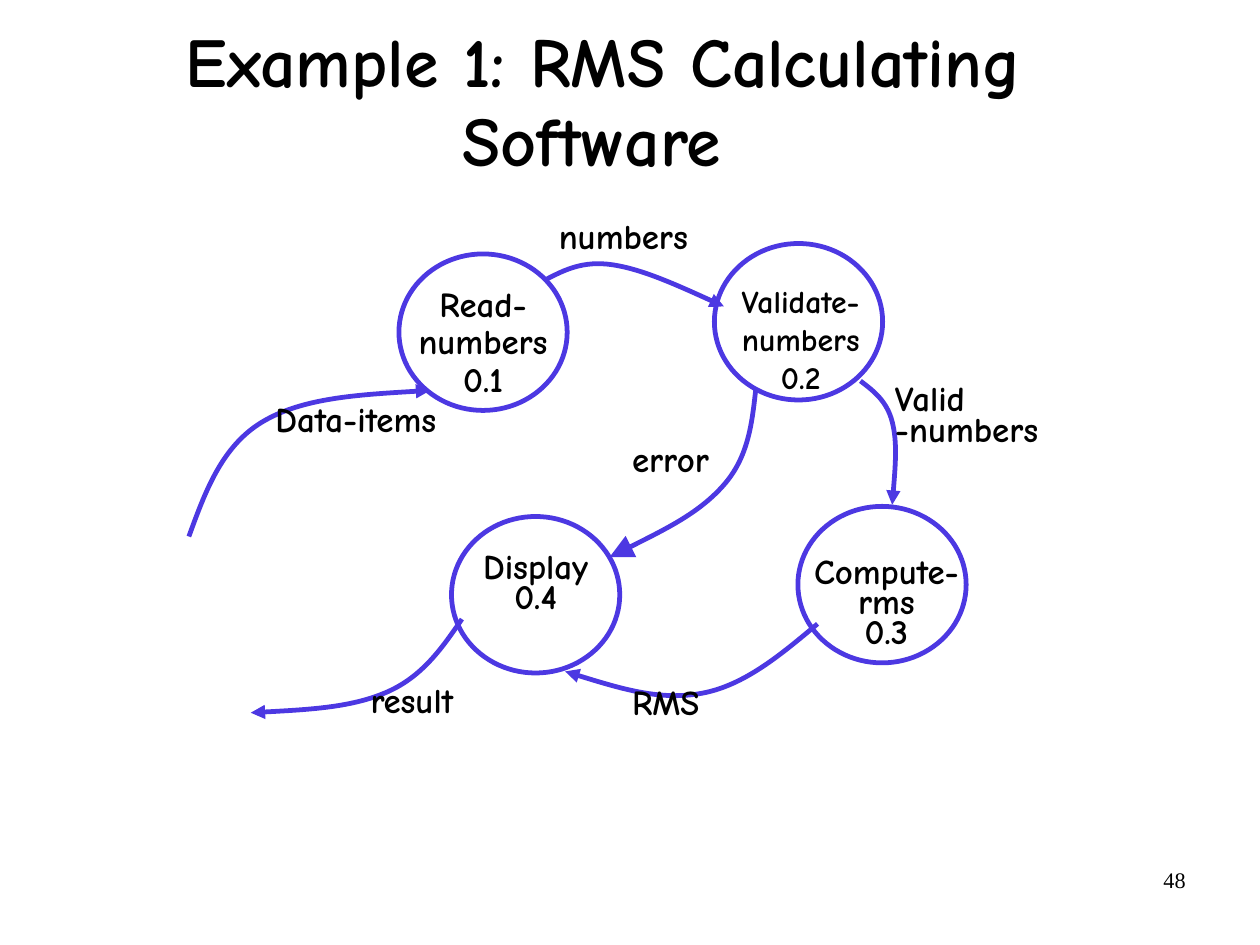
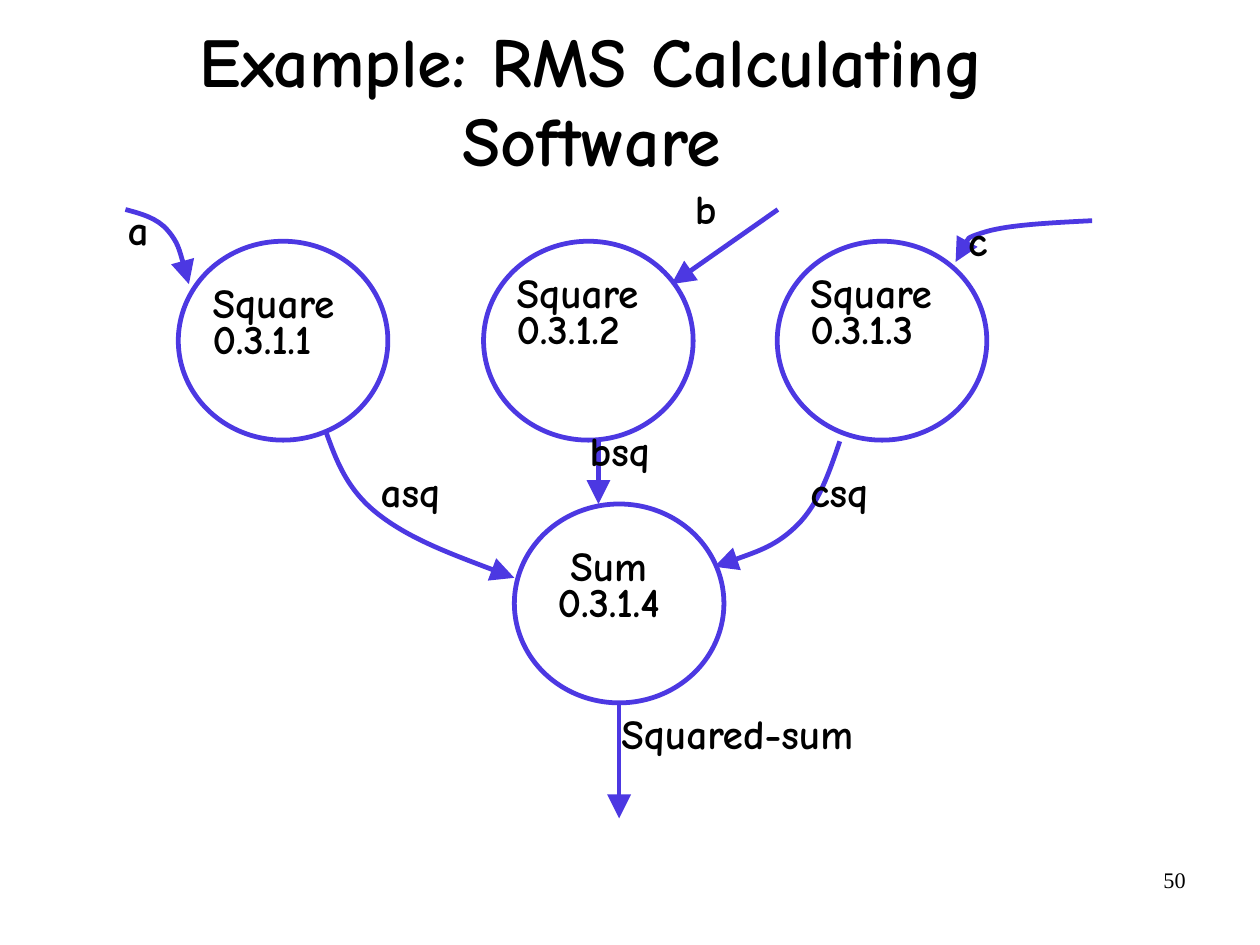
from lxml.etree import SubElement
from pptx import Presentation
from pptx.dml.color import RGBColor
from pptx.enum.shapes import MSO_CONNECTOR, MSO_SHAPE
from pptx.enum.text import MSO_ANCHOR, PP_ALIGN
from pptx.oxml.ns import qn
from pptx.util import Pt

BLACK = RGBColor(0x00, 0x00, 0x00)
VIOLET = RGBColor(0x4C, 0x38, 0xE2)
TITLE_FONT = "Comic Neue"
NUMBER_FONT = "Times New Roman"
LEFT, CENTER, RIGHT = PP_ALIGN.LEFT, PP_ALIGN.CENTER, PP_ALIGN.RIGHT
LABEL_SIZE = (106, 60)

# bubbles: corner; curves: start, bend, end, arrowhead; labels: text, corner, changes
DIAGRAMS = [
    {
        "title": " Example 1: RMS Calculating Software",
        "number": "48",
        "bubble_size": (106, 98.6),
        "bubbles": [(251.3, 160), (284.4, 325.4), (450, 153.4), (502.6, 319)],
        "curves": [
            ((119, 338), (150, 253), (271, 246), "med"),
            ((344, 176), (379, 158), (456, 193), "med"),
            ((542, 240), (567, 259), (562, 318), "med"),
            ((515, 393), (446, 451), (356, 423), "med"),
            ((291, 390), (254, 444), (158, 449), "med"),
            ((476, 246), (469, 309), (384, 351), "lg"),
        ],
        "lines": [],
        "text_style": {"size": 22, "before": 12.5, "spacing": 0.72},
        "labels": [
            ("Data-items", (172, 252.7), {}),
            ("result", (232, 430), {}),
            ("Read-numbers\n0.1", (251.3, 176.4), {"align": CENTER, "spacing": 0.9}),
            ("Validate-numbers\n0.2", (451.4, 173),
             {"align": CENTER, "spacing": 1.0, "size": 20}),
            ("Compute-rms\n0.3", (505.4, 348.5), {"align": CENTER}),
            ("Display\n0.4", (284.4, 345.6), {"align": CENTER}),
            ("RMS", (396.7, 431.3), {}),
            ("numbers", (350.6, 137.5), {}),
            ("Valid -numbers", (562.3, 240), {}),
            ("error", (396.7, 278), {}),
        ],
    },
    {
        "title": "Example: RMS Calculating Software",
        "number": "50",
        "bubble_size": (132, 125.3),
        "bubbles": [(112.3, 152), (304.6, 152), (489.6, 152), (324, 317.5)],
        "curves": [
            ((79, 132), (109, 140), (119, 179), "lg"),
            ((688, 139), (609, 143), (602, 165), "lg"),
            ((205, 271), (225, 327), (324, 364), "lg"),
            ((529, 278), (509, 337), (450, 357), "lg"),
        ],
        "lines": [(490, 132, 423, 179), (377, 278, 377, 317.5), (390, 443, 390, 515.5)],
        "text_style": {"size": 26, "before": 15, "spacing": 0.72},
        "labels": [
            ("Square\n0.3.1.1", (132.5, 178.6), {}),
            ("Square\n0.3.1.2", (324, 172), {}),
            ("Square\n0.3.1.3", (509, 172), {}),
            ("Sum\n0.3.1.4", (330.5, 344), {"align": CENTER}),
            ("a", (79, 132.5), {}),
            ("b", (436.3, 119), {}),
            ("c", (608.4, 139), {}),
            ("asq", (238.3, 297.4), {}),
            ("bsq", (370, 271.4), {}),
            ("csq", (509, 297.4), {}),
            ("Squared-sum", (390, 450), {"extent": (238, 40)}),
        ],
    },
]


def add_text(slide, text, corner, extent=LABEL_SIZE, align=LEFT, size=22, spacing=1.0,
             before=0, font=TITLE_FONT, bold=True, insets=(1.44, 4.32),
             anchor=MSO_ANCHOR.TOP):
    frame = slide.shapes.add_textbox(*map(Pt, corner + extent)).text_frame
    frame.word_wrap = True
    frame.vertical_anchor = anchor
    frame.margin_left = frame.margin_right = Pt(insets[0])
    frame.margin_top = frame.margin_bottom = Pt(insets[1])
    paragraph = frame.paragraphs[0]
    paragraph.text = text
    paragraph.alignment = align
    paragraph.line_spacing = spacing
    paragraph.space_before = Pt(before)
    paragraph.font.name = font
    paragraph.font.size = Pt(size)
    paragraph.font.bold = bold
    paragraph.font.color.rgb = BLACK


def draw_stroke(stroke, head=None):
    """Give a shape or connector the violet line, with an arrowhead if head is set."""
    stroke.line.color.rgb = VIOLET
    stroke.line.width = Pt(3)
    if head:
        line = stroke.element.spPr.find(qn("a:ln"))
        SubElement(line, qn("a:tailEnd"), type="triangle", w=head, len=head)


deck = Presentation()
deck.slide_width, deck.slide_height = Pt(793.7), Pt(595.3)

for diagram in DIAGRAMS:
    slide = deck.slides.add_slide(deck.slide_layouts[6])
    add_text(slide, diagram["number"], (569, 542), (185, 41), RIGHT, 14,
             font=NUMBER_FONT, bold=False, insets=(7.2, 3.6))
    add_text(slide, diagram["title"], (35.3, 15), (674.6, 100), CENTER, 44, 0.94, 8,
             anchor=MSO_ANCHOR.MIDDLE)

    for corner in diagram["bubbles"]:
        bubble = slide.shapes.add_shape(
            MSO_SHAPE.OVAL, *map(Pt, corner + diagram["bubble_size"]))
        bubble.shadow.inherit = False
        bubble.fill.background()
        draw_stroke(bubble)

    for start, bend, end, head in diagram["curves"]:
        # Two smooth Bezier arcs, shaped by the points at thirds of each leg
        points = [
            tuple(Pt(a * s + b * m + c * e) for s, m, e in zip(start, bend, end))
            for a, b, c in [(2 / 3, 1 / 3, 0), (1 / 3, 2 / 3, 0), (1 / 6, 2 / 3, 1 / 6),
                            (0, 2 / 3, 1 / 3), (0, 1 / 3, 2 / 3), (0, 0, 1)]
        ]
        builder = slide.shapes.build_freeform(*map(Pt, start))
        builder.add_line_segments(points, close=False)
        flow = builder.convert_to_shape()
        flow.shadow.inherit = False
        flow.fill.background()
        draw_stroke(flow, head)
        outline = next(flow.element.iter(qn("a:path")))
        segments = outline.findall(qn("a:lnTo"))
        for first in range(0, len(segments), 3):
            arc = SubElement(outline, qn("a:cubicBezTo"))
            for segment in segments[first:first + 3]:
                arc.append(segment.find(qn("a:pt")))
                outline.remove(segment)

    for ends in diagram["lines"]:
        flow = slide.shapes.add_connector(MSO_CONNECTOR.STRAIGHT, *map(Pt, ends))
        draw_stroke(flow, "lg")
        SubElement(flow.element.spPr, qn("a:effectLst"))

    for text, corner, changes in diagram["labels"]:
        add_text(slide, text, corner, **{**diagram["text_style"], **changes})

deck.save("out.pptx")
